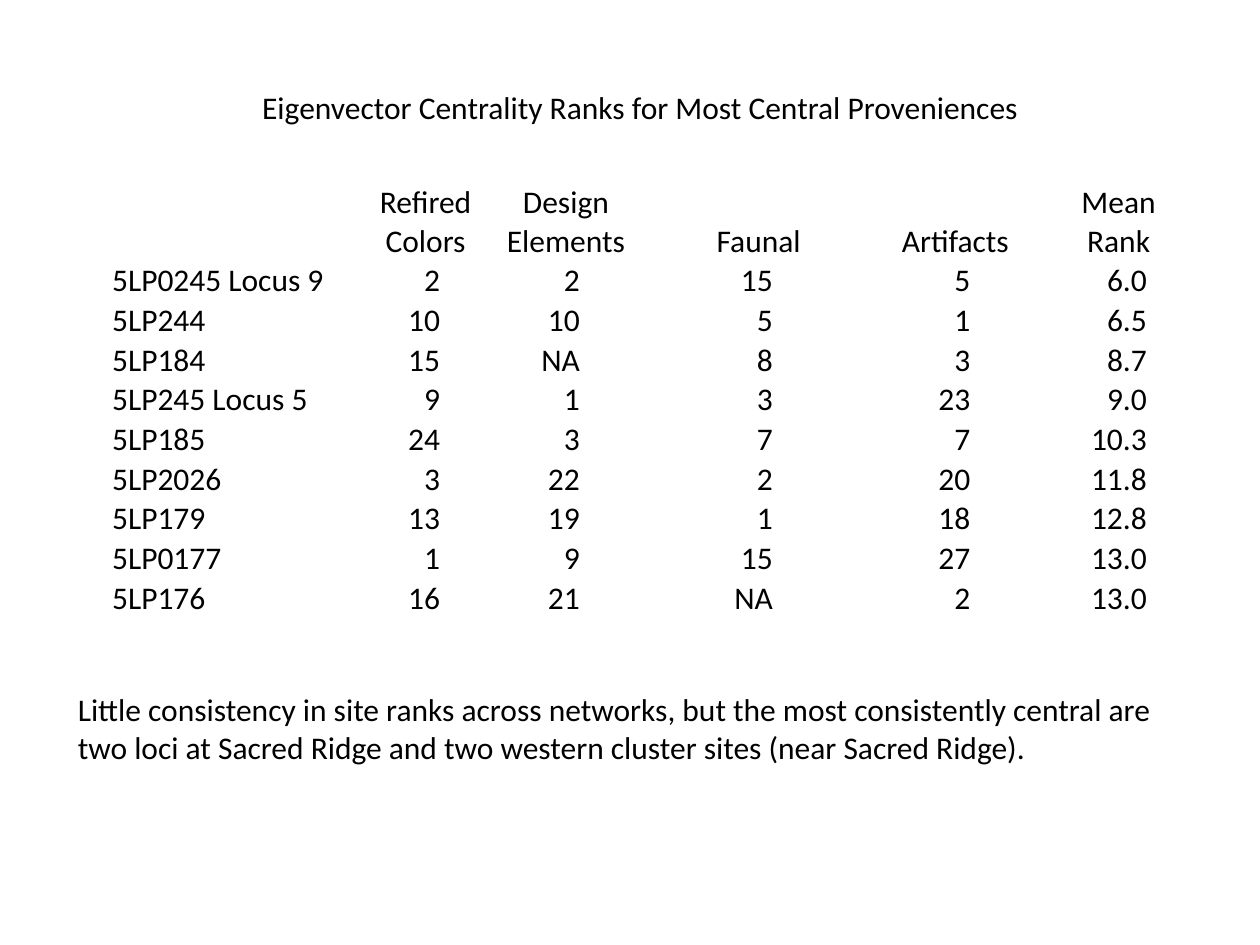
from pptx import Presentation
from pptx.dml.color import RGBColor
from pptx.enum.text import MSO_ANCHOR, MSO_AUTO_SIZE, PP_ALIGN
from pptx.util import Cm, Pt

FONT, SIZE, BLACK = "Calibri", 18, "000000"

COL_WIDTHS = [5.21, 2.26, 3.4, 4.37, 3.56, 0.28, 2.46]
# Right inset that lines up the numbers of each column
NUMBER_INSETS = [0, 0.84, 1.42, 1.9, 1.48, 0, 0.66]

HEADER = ["", "Refired Colors", "Design Elements", "Faunal", "Artifacts", "", "Mean Rank"]
RANKS = [
    ["5LP0245 Locus 9", "2", "2", "15", "5", "", "6.0"],
    ["5LP244", "10", "10", "5", "1", "", "6.5"],
    ["5LP184", "15", "NA", "8", "3", "", "8.7"],
    ["5LP245 Locus 5", "9", "1", "3", "23", "", "9.0"],
    ["5LP185", "24", "3", "7", "7", "", "10.3"],
    ["5LP2026", "3", "22", "2", "20", "", "11.8"],
    ["5LP179", "13", "19", "1", "18", "", "12.8"],
    ["5LP0177", "1", "9", "15", "27", "", "13.0"],
    ["5LP176", "16", "21", "NA", "2", "", "13.0"],
]


def color(value):
    return RGBColor.from_string(value)


def format_text(tf, align):
    for p in tf.paragraphs:
        p.alignment = align
        for r in p.runs:
            r.font.name = FONT
            r.font.size = Pt(SIZE)
            r.font.bold = False
            r.font.color.rgb = color(BLACK)


def fill_text(shape, text, left, top, width, height):
    shape.left, shape.top = Cm(left), Cm(top)
    shape.width, shape.height = Cm(width), Cm(height)
    tf = shape.text_frame
    tf.text = text
    tf.word_wrap = False
    tf.auto_size = MSO_AUTO_SIZE.SHAPE_TO_FIT_TEXT
    tf.vertical_anchor = MSO_ANCHOR.TOP
    format_text(tf, PP_ALIGN.LEFT)


def add_title(s, left, top, width, height):
    fill_text(s.shapes.title, "Eigenvector Centrality Ranks for Most Central Proveniences",
              left, top, width, height)


def add_rank_table(s, left, top, header_height, row_height):
    rows = [HEADER] + RANKS
    height = header_height + row_height * len(RANKS)
    table = s.shapes.add_table(len(rows), len(HEADER), Cm(left), Cm(top),
                               Cm(sum(COL_WIDTHS)), Cm(height)).table
    table.first_row = table.horz_banding = False
    for column, width in zip(table.columns, COL_WIDTHS):
        column.width = Cm(width)
    for i, values in enumerate(rows):
        table.rows[i].height = Cm(row_height if i else header_height)
        for j, value in enumerate(values):
            cell = table.cell(i, j)
            cell.fill.background()
            cell.vertical_anchor = MSO_ANCHOR.BOTTOM
            cell.margin_left = cell.margin_top = Cm(0.02)
            cell.margin_right = Cm(NUMBER_INSETS[j] if i else 0.02)
            cell.margin_bottom = 0
            cell.text = value
            if i == 0:
                align = PP_ALIGN.CENTER
            else:
                align = PP_ALIGN.RIGHT if j else PP_ALIGN.LEFT
            format_text(cell.text_frame, align)


def add_conclusion(s, left, top, width, height):
    text = ("Little consistency in site ranks across networks, "
            "but the most consistently central are\n"
            "two loci at Sacred Ridge and two western cluster sites (near Sacred Ridge).")
    box = s.shapes.add_textbox(0, 0, 0, 0)
    fill_text(box, text, left, top, width, height)


def main():
    prs = Presentation()
    prs.slide_width, prs.slide_height = Cm(25.4), Cm(19.05)
    s = prs.slides.add_slide(prs.slide_layouts[5])
    add_title(s, 5.03, 1.65, 15.93, 1.02)
    add_rank_table(s, 2.24, 3.68, 1.57, 0.8)
    add_conclusion(s, 1.32, 13.79, 22.4, 1.8)
    prs.save("out.pptx")


if __name__ == "__main__":
    main()
